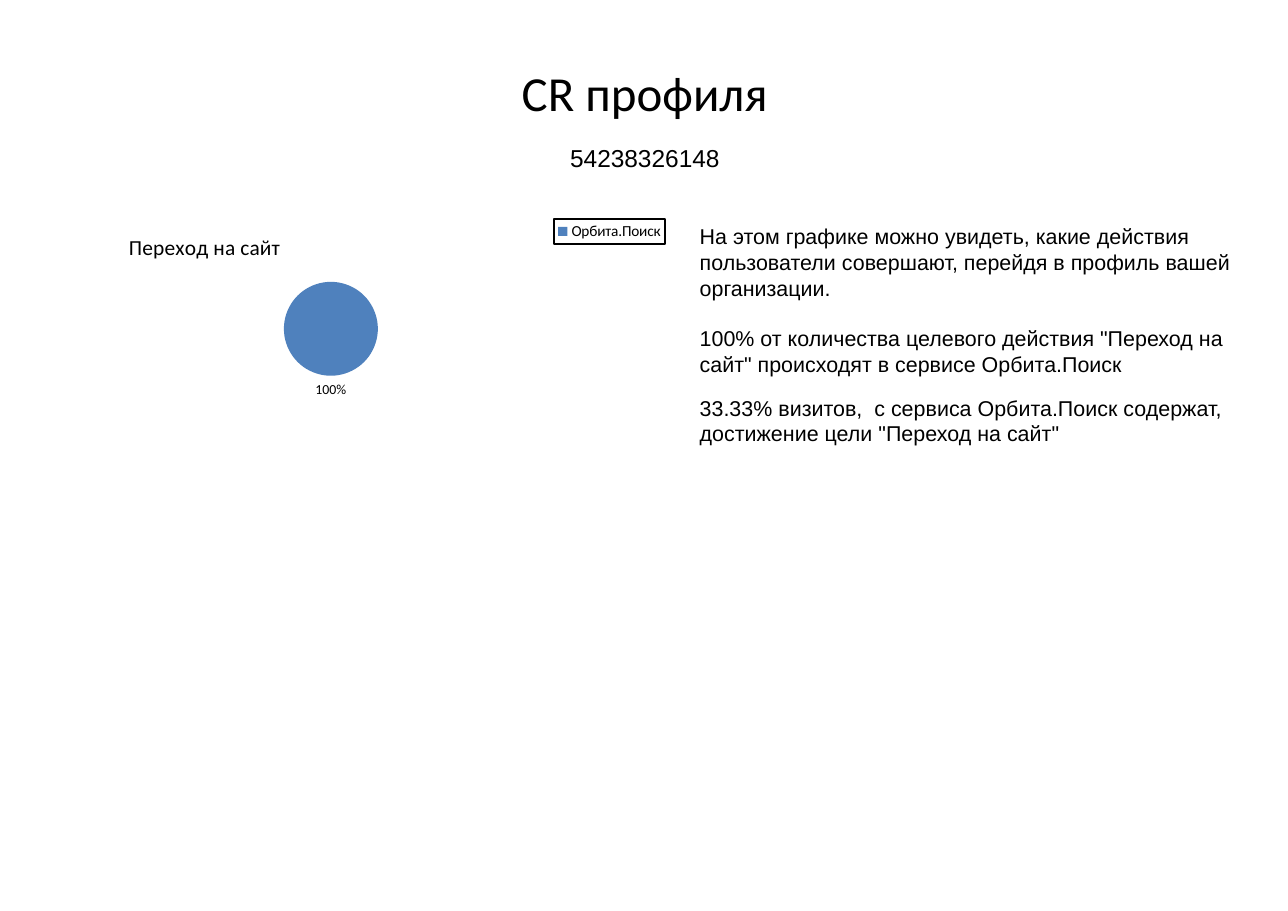
from lxml import etree
from pptx import Presentation
from pptx.chart.data import CategoryChartData
from pptx.dml.color import RGBColor
from pptx.enum.chart import XL_CHART_TYPE, XL_LABEL_POSITION, XL_LEGEND_POSITION
from pptx.enum.text import PP_ALIGN
from pptx.oxml import parse_xml
from pptx.oxml.ns import nsdecls, qn
from pptx.util import Emu, Inches, Pt

PIE = XL_CHART_TYPE.PIE
OUTSIDE_END = XL_LABEL_POSITION.OUTSIDE_END
LEGEND_RIGHT = XL_LEGEND_POSITION.RIGHT
LEFT, CENTER = PP_ALIGN.LEFT, PP_ALIGN.CENTER

PX = 914400 / 110.2
BLACK, BLUE = "000000", "4F81BD"
SERVICE = "Орбита.Поиск"
GOAL = "Переход на сайт"


def px(length):
    return Emu(round(length * PX))


def color(value):
    return RGBColor.from_string(value)


def style_font(font, size, name="Calibri"):
    font.size, font.name, font.bold = Pt(size), name, False
    font.color.rgb = color(BLACK)


def add_text(slide, box, paragraphs, size, name="Arial", align=LEFT, gaps=(0,)):
    """Write paragraphs, each followed by its gap in points."""
    frame = slide.shapes.add_textbox(*map(px, box)).text_frame
    frame.word_wrap = True
    for index, (words, gap) in enumerate(zip(paragraphs, gaps)):
        paragraph = frame.add_paragraph() if index else frame.paragraphs[0]
        paragraph.alignment = align
        paragraph.space_after = Pt(gap)
        run = paragraph.add_run()
        run.text = words
        style_font(run.font, size, name)


def place_part(element, index, chart_box, inner=False, **lengths):
    """Set a chart part's manual layout from pixels within the chart."""
    for old in element.findall(qn("c:layout")):
        element.remove(old)
    layout = etree.Element(qn("c:layout"))
    manual = etree.SubElement(layout, qn("c:manualLayout"))
    settings = [("layoutTarget", "inner")] if inner else []
    settings += [("xMode", "edge"), ("yMode", "edge")]
    for key, length in lengths.items():
        whole = chart_box[2] if key in "xw" else chart_box[3]
        settings.append((key, f"{length / whole:.4f}"))
    for tag, value in settings:
        etree.SubElement(manual, qn("c:" + tag)).set("val", value)
    element.insert(index, layout)


def add_heading(slide, box):
    left, top, width, height = box
    add_text(slide, box, ["CR профиля"], 32, "Calibri", CENTER)
    add_text(slide, (left, top + 81, width, height), ["54238326148"], 16, align=CENTER)


def add_goal_chart(slide, box):
    data = CategoryChartData(number_format="0")
    data.categories = [SERVICE]
    data.add_series(GOAL, [100])
    chart = slide.shapes.add_chart(PIE, *map(px, box), data).chart
    style_font(chart.font, 10)

    # Title
    chart.has_title = True
    title = chart.chart_title
    title.include_in_layout = False
    title.text_frame.text = GOAL
    style_font(title.text_frame.paragraphs[0].runs[0].font, 14)
    place_part(title._element, 1, box, x=9, y=10)

    # Legend with a thin frame
    chart.has_legend = True
    legend = chart.legend
    legend.position = LEGEND_RIGHT
    legend.include_in_layout = False
    style_font(legend.font, 10)
    place_part(legend._element, 1, box, x=438, y=1, w=111, h=25)
    frame = parse_xml(
        f'<c:spPr {nsdecls("c", "a")}><a:ln w="12700"><a:solidFill>'
        f'<a:srgbClr val="{BLACK}"/></a:solidFill></a:ln></c:spPr>')
    legend._element.find(qn("c:txPr")).addprevious(frame)

    # Pie and its share label
    pie = chart.plots[0]
    pie.vary_by_categories = True
    fill = pie.series[0].points[0].format.fill
    fill.solid()
    fill.fore_color.rgb = color(BLUE)
    pie.has_data_labels = True
    labels = pie.data_labels
    labels.show_percentage, labels.show_value = True, False
    labels.number_format, labels.number_format_is_linked = "0%", False
    labels.position = OUTSIDE_END
    style_font(labels.font, 9)
    plot_area = chart._chartSpace.chart.plotArea
    place_part(plot_area, 0, box, inner=True, x=168, y=64, w=94, h=94)


def add_explanation(slide, box):
    add_text(slide, box, [
        "На этом графике можно увидеть, какие действия пользователи совершают, "
        "перейдя в профиль вашей организации.",
        f'100% от количества целевого действия "{GOAL}" происходят в сервисе {SERVICE}',
        f'33.33% визитов,  с сервиса {SERVICE} содержат, достижение цели "{GOAL}"',
    ], 14, gaps=(16, 12, 24))


deck = Presentation()
deck.slide_width, deck.slide_height = Inches(11.69), Inches(8.27)
profile = deck.slides.add_slide(deck.slide_layouts[6])
add_heading(profile, (71, 57, 1148, 115))
add_explanation(profile, (689, 218, 574, 574))
add_goal_chart(profile, (116, 218, 551, 195))
deck.save("out.pptx")
